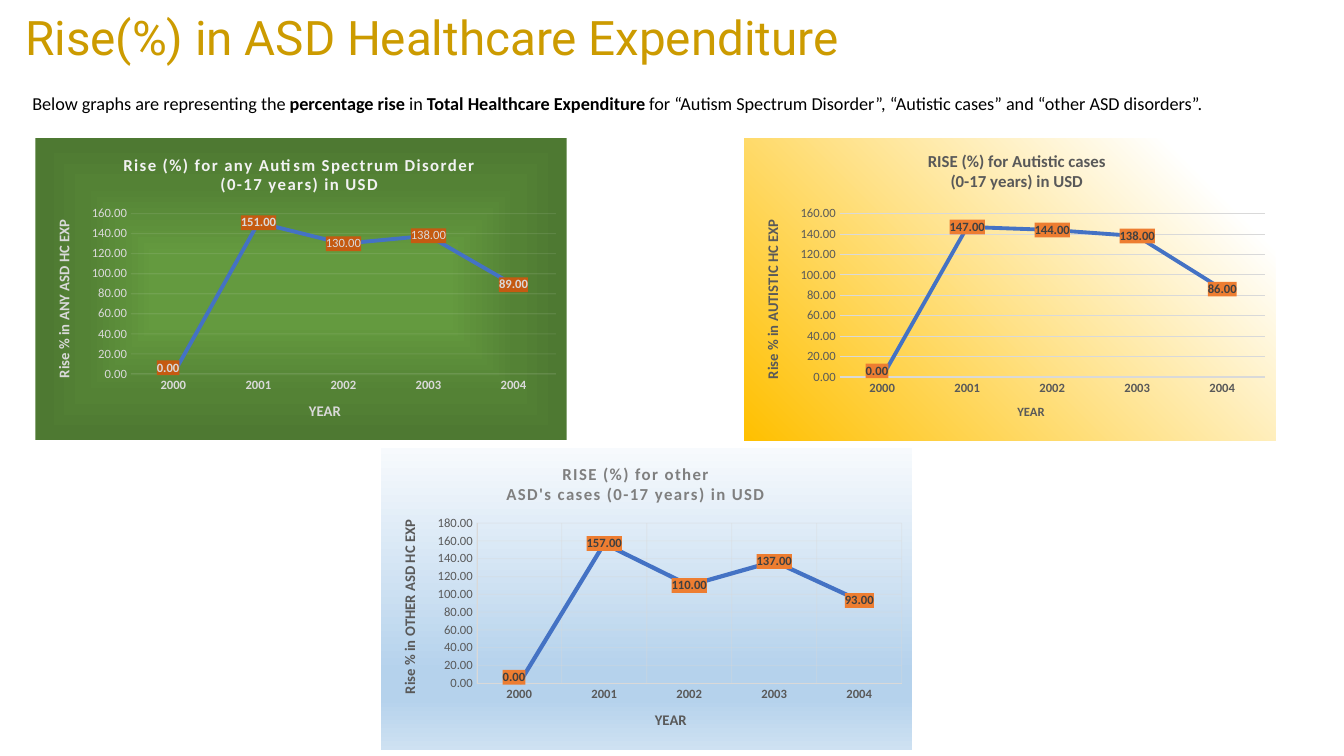
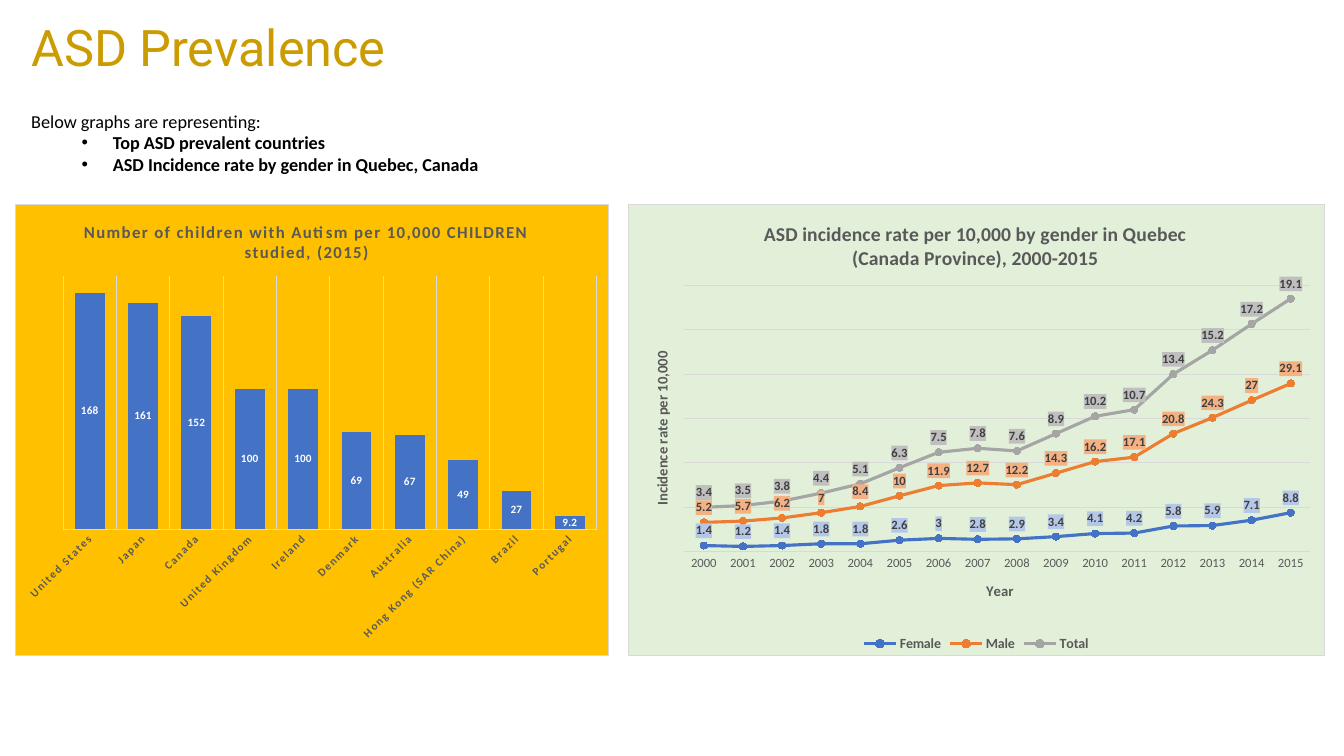
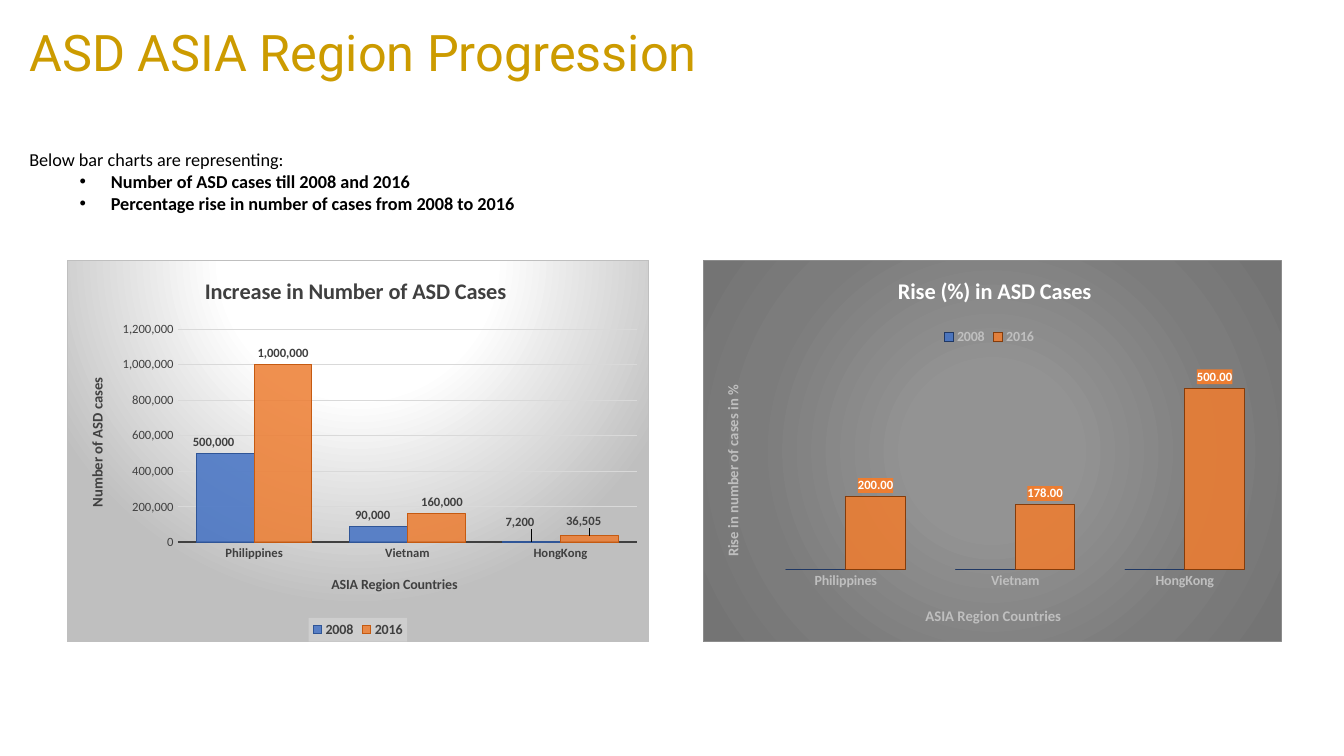
from copy import deepcopy

from pptx import Presentation
from pptx.chart.data import CategoryChartData
from pptx.dml.color import RGBColor
from pptx.enum.chart import (XL_CHART_TYPE, XL_LABEL_POSITION, XL_LEGEND_POSITION,
                             XL_MARKER_STYLE, XL_TICK_MARK)
from pptx.enum.text import MSO_ANCHOR, MSO_AUTO_SIZE, PP_ALIGN
from pptx.oxml import parse_xml
from pptx.oxml.ns import nsdecls, qn
from pptx.util import Inches, Pt

LINE, LINE_MARKERS = XL_CHART_TYPE.LINE_STACKED, XL_CHART_TYPE.LINE_MARKERS_STACKED
STACKED, CLUSTERED = XL_CHART_TYPE.COLUMN_STACKED, XL_CHART_TYPE.COLUMN_CLUSTERED
CENTER, ABOVE = XL_LABEL_POSITION.CENTER, XL_LABEL_POSITION.ABOVE
OUTSIDE = XL_LABEL_POSITION.OUTSIDE_END
BOTTOM, TOP = XL_LEGEND_POSITION.BOTTOM, XL_LEGEND_POSITION.TOP
NO_TICK = XL_TICK_MARK.NONE
CIRCLE = XL_MARKER_STYLE.CIRCLE

FONT, TITLE_FONT = "Calibri", "Roboto"
C = {
    "title": "CC9B00", "black": "000000", "white": "FFFFFF", "pale": "F2F2F2",
    "light": "D9D9D9", "silver": "BFBFBF", "grey": "7F7F7F", "dim": "595959",
    "dark": "404040", "blue": "4472C4", "orange": "ED7D31", "steel": "A5A5A5",
    "rust": "C55A11", "brown": "843C0B", "navy": "203864", "deep": "2F5597",
    "gold": "FFC000", "mint": "E2F0D9", "sky": "B4C7E7", "peach": "F4B183",
    "frame": "8C8C8C",
}
LINEAR = '<a:lin ang="{}" scaled="0"/>'
PATH = '<a:path path="{}"><a:fillToRect l="50000" t="{}" r="50000" b="{}"/></a:path>'


def rgb(name):
    return RGBColor.from_string(C[name])


def paint(fill, color, alpha=None):
    """Solid fill with an optional opacity in percent."""
    fill.solid()
    fill.fore_color.rgb = rgb(color)
    if alpha:
        clr = fill._xPr.find(".//" + qn("a:srgbClr"))
        clr.append(parse_xml(f'<a:alpha {nsdecls("a")} val="{alpha * 1000}"/>'))


def stroke(line, color, width, alpha=None):
    paint(line.fill, color, alpha)
    line.width = Pt(width)


def style(font, size, color, bold=False, name=FONT, spacing=None):
    font.name, font.size, font.bold = name, Pt(size), bold
    font.color.rgb = rgb(color)
    if spacing:
        font._rPr.set("spc", str(spacing))


def add_run(p, text, **fmt):
    r = p.add_run()
    r.text = text
    style(r.font, **fmt)


def solid_xml(color, alpha=100):
    return (f'<a:solidFill><a:srgbClr val="{C[color]}"><a:alpha val="{alpha * 1000}"/>'
            '</a:srgbClr></a:solidFill>')


def gradient_xml(stops, shade):
    gs = "".join(f'<a:gs pos="{pos * 1000}"><a:srgbClr val="{c}"/></a:gs>' for pos, c in stops)
    return f'<a:gradFill rotWithShape="1"><a:gsLst>{gs}</a:gsLst>{shade}</a:gradFill>'


def sp_pr(fill, border=None):
    ln = "<a:ln><a:noFill/></a:ln>"
    if border:
        ln = f'<a:ln w="{int(border[1] * 12700)}">{solid_xml(border[0])}</a:ln>'
    return parse_xml(f'<c:spPr {nsdecls("c", "a")}>{fill}{ln}</c:spPr>')


def layout_xml(x, y, w=None, h=None, edge=True):
    """Manual layout in fractions of the chart; a point label takes offsets."""
    target = '<c:layoutTarget val="inner"/>' if w else ""
    mode = '<c:xMode val="edge"/><c:yMode val="edge"/>' if edge else ""
    size = f'<c:w val="{w}"/><c:h val="{h}"/>' if w else ""
    return parse_xml(f'<c:layout {nsdecls("c")}><c:manualLayout>{target}{mode}'
                     f'<c:x val="{x}"/><c:y val="{y}"/>{size}</c:manualLayout></c:layout>')


def place(el, at, after=None):
    """Put a manual layout first in el, or after the named child."""
    for old in el.findall(qn("c:layout")):
        el.remove(old)
    if after:
        el.find(qn(after)).addnext(layout_xml(*at))
    else:
        el.insert(0, layout_xml(*at))


class Deck:
    def __init__(self):
        self.prs = Presentation()
        self.prs.slide_width, self.prs.slide_height = Inches(13.33), Inches(7.5)
        self.s = None

    def frame(self, sp, at):
        sp.left, sp.top, sp.width, sp.height = (Inches(v) for v in at)
        tf = sp.text_frame
        tf.word_wrap, tf.auto_size = True, MSO_AUTO_SIZE.NONE
        return tf

    def slide(self, title, at, size=36):
        self.s = self.prs.slides.add_slide(self.prs.slide_layouts[1])
        tf = self.frame(self.s.shapes.title, at)
        tf.vertical_anchor = MSO_ANCHOR.BOTTOM
        p = tf.paragraphs[0]
        p.alignment, p.line_spacing = PP_ALIGN.LEFT, 0.9
        add_run(p, title, size=size, color="title", name=TITLE_FONT)

    def body(self, at, intro, bullets=()):
        """intro is a list of (text, bold) runs; bullets follow it in bold."""
        tf = self.frame(self.s.placeholders[1], at)
        for i, runs in enumerate([intro] + [[(b, True)] for b in bullets]):
            p = tf.paragraphs[0] if i == 0 else tf.add_paragraph()
            p.space_before = Pt(0)
            pPr = p._p.get_or_add_pPr()
            pPr.set("marL", str(Inches(0.81) if i else 0))
            pPr.set("indent", str(Inches(-0.31) if i else 0))
            bullet = '<a:buChar {} char="•"/>' if i else "<a:buNone {}/>"
            pPr.append(parse_xml(bullet.format(nsdecls("a"))))
            for text, bold in runs:
                add_run(p, text, size=13, color="black", bold=bold)

    def chart(self, kind, at, cats, series, plot, fill, title, cat, val,
              border=None, gap=None, overlap=0, legend=None):
        data = CategoryChartData()
        data.categories = cats
        for item in series:
            data.add_series(item["name"], item["vals"])
        chart = self.s.shapes.add_chart(kind, *(Inches(v) for v in at), data).chart
        chart.element.find(qn("c:chart")).addnext(sp_pr(fill, border))
        style(chart.font, 10, "black")
        place(chart.element.find(".//" + qn("c:plotArea")), plot)
        self.heading(chart, **title)
        self.axis(chart.category_axis, **cat)
        self.axis(chart.value_axis, **val)
        bars = chart.plots[0]
        bars.vary_by_categories = False
        if gap:
            bars.gap_width, bars.overlap = gap, overlap
        for ser, item in zip(bars.series, series):
            self.series(ser, item, bool(gap), kind == LINE_MARKERS)
        chart.has_legend = bool(legend)
        if legend:
            self.legend(chart.legend, **legend)

    def heading(self, owner, text, at, color, size=10.5, spacing=None, upright=False):
        """Title of a chart or an axis."""
        owner.has_title = True
        title = owner.chart_title if hasattr(owner, "chart_title") else owner.axis_title
        tf = title.text_frame
        for i, line in enumerate(text.split("\n")):
            p = tf.paragraphs[0] if i == 0 else tf.add_paragraph()
            add_run(p, line, size=size, color=color, bold=True, spacing=spacing)
        if upright:
            body_pr = title._element.find(".//" + qn("a:bodyPr"))
            body_pr.set("rot", "-5400000")
            body_pr.set("vert", "horz")
        place(title._element, at, after="c:tx")

    def axis(self, axis, title=None, font=None, line=None, grid=None, fmt=None,
             top=None, step=None, hide=False, slant=False):
        axis.major_tick_mark = axis.minor_tick_mark = NO_TICK
        if font:
            style(axis.tick_labels.font, **font)
        if slant:
            axis._element.find(qn("c:txPr")).find(qn("a:bodyPr")).set("rot", "-2700000")
        if fmt:
            axis.tick_labels.number_format = fmt
            axis.tick_labels.number_format_is_linked = False
        if line:
            stroke(axis.format.line, *line)
        else:
            axis.format.line.fill.background()
        axis.has_major_gridlines = bool(grid)
        if grid:
            stroke(axis.major_gridlines.format.line, *grid)
        if top:
            axis.minimum_scale, axis.maximum_scale, axis.major_unit = 0, top, step
        if title:
            self.heading(axis, **title)
        axis.visible = not hide

    def series(self, ser, item, is_bar, marked):
        if is_bar:
            paint(ser.format.fill, item["color"], item.get("alpha"))
        else:
            ser.smooth = False
        if "line" in item:
            stroke(ser.format.line, *item["line"])
        if marked:
            ser.marker.style, ser.marker.size = CIRCLE, 5
            paint(ser.marker.format.fill, item["color"])
            stroke(ser.marker.format.line, item["color"], 0.75)
        if "labels" in item:
            self.labels(ser.data_labels, **item["labels"])

    def labels(self, dl, color, pos, fmt="General", size=9, fill=None, nudge=None, plain=()):
        """nudge maps a point to its label offset; plain lists points not in bold."""
        style(dl.font, size, color, bold=True)
        dl.show_value, dl.position = True, pos
        dl.number_format, dl.number_format_is_linked = fmt, False
        el = dl._element
        if fill:
            el.find(qn("c:txPr")).addprevious(sp_pr(solid_xml(fill)))
        shared = list(el)
        offsets = {i: (0, 0) for i in plain} | (nudge or {})
        for n, i in enumerate(sorted(offsets)):
            point = parse_xml(f'<c:dLbl {nsdecls("c")}><c:idx val="{i}"/></c:dLbl>')
            if any(offsets[i]):
                point.append(layout_xml(*offsets[i], edge=False))
            for part in shared:
                if part.tag not in (qn("c:showLeaderLines"), qn("c:leaderLines")):
                    point.append(deepcopy(part))
            if i in plain:
                point.find(".//" + qn("a:defRPr")).set("b", "0")
            el.insert(n, point)

    def legend(self, legend, position, color, at=None, fill=None):
        legend.position, legend.include_in_layout = position, False
        style(legend.font, 10, color, bold=True)
        el = legend._element
        if at:
            place(el, at, after="c:legendPos")
        if fill:
            el.find(qn("c:txPr")).addprevious(sp_pr(solid_xml(*fill)))


def rise_slide(deck):
    deck.slide("Rise(%) in ASD Healthcare Expenditure", (0.15, 0.03, 8.9, 0.67), size=34)
    deck.body((0.22, 0.87, 12.54, 0.32), [
        ("Below graphs are representing the ", False), ("percentage rise", True),
        (" in ", False), ("Total Healthcare Expenditure ", True),
        ("for “Autism Spectrum Disorder”, “Autistic cases” and “other ASD disorders”.", False)])
    green = gradient_xml([(0, "649A3F"), (23, "649A3F"), (69, "548235"), (97, "4E7932")],
                         PATH.format("shape", 50000, 50000))
    amber = gradient_xml([(0, "FFFFFF"), (13, "FFFFFF"), (100, "FFC000")],
                         LINEAR.format(135 * 60000))
    ice = gradient_xml([(0, "F7FAFD"), (74, "B5D2EC"), (83, "B5D2EC"), (100, "CEE1F2")],
                       LINEAR.format(90 * 60000))
    faint, thin = ("light", 0.75, 32), ("light", 0.25)
    panels = [
        dict(at=(0.35, 1.37), vals=[0, 151, 130, 138, 89], fill=green, ink="light", top=160,
             plot=(0.18, 0.25, 0.8, 0.53), who="ANY ASD", who_at=(0.03, 0.26),
             title=dict(text="Rise (%) for any Autism Spectrum Disorder\n(0-17 years) in USD",
                        at=(0.16, 0.04), color="pale", spacing=100),
             line=("pale", 0.75, 10), grid=("pale", 0.75, 10),
             labels=dict(color="light", fill="rust", plain=(2, 3))),
        dict(at=(7.38, 1.37), vals=[0, 147, 144, 138, 86], fill=amber, ink="dim", top=160,
             plot=(0.18, 0.25, 0.8, 0.54), who="AUTISTIC", who_at=(0.03, 0.26),
             title=dict(text="RISE (%) for Autistic cases\n(0-17 years) in USD",
                        at=(0.34, 0.03), color="dim"),
             line=("light", 1), grid=("light", 0.75), year_size=9, year_y=0.87,
             labels=dict(color="dark", fill="orange")),
        dict(at=(3.78, 4.44), vals=[0, 157, 110, 137, 93], fill=ice, ink="dim", top=180,
             plot=(0.18, 0.25, 0.8, 0.53), who="OTHER ASD", who_at=(0.03, 0.23),
             title=dict(text="RISE (%) for other\nASD's cases (0-17 years) in USD",
                        at=(0.23, 0.04), color="grey", spacing=100),
             line=thin, val_line=thin, grid=faint, cat_grid=faint, width=3,
             labels=dict(color="dark", fill="orange")),
    ]
    for d in panels:
        ink = d["ink"]
        labels = dict(d["labels"], pos=CENTER, fmt="0.00", nudge={0: (-0.01, -0.02)})
        deck.chart(
            LINE, d["at"] + (5.27, 3), ["2000", "2001", "2002", "2003", "2004"],
            [dict(name="Series 1", vals=d["vals"], color="blue",
                  line=("blue", d.get("width", 2.75)), labels=labels)],
            d["plot"], d["fill"], dict(d["title"], size=12),
            cat=dict(font=dict(size=9, color=ink, bold=True), line=d["line"],
                     grid=d.get("cat_grid"),
                     title=dict(text="YEAR", at=(0.51, d.get("year_y", 0.86)), color=ink,
                                size=d.get("year_size", 10.5))),
            val=dict(font=dict(size=9, color=ink), line=d.get("val_line"), grid=d["grid"],
                     fmt="#,##0.00", top=d["top"], step=20,
                     title=dict(text=f"Rise % in {d['who']} HC EXP", at=d["who_at"],
                                color=ink, upright=True)))


def prevalence_slide(deck):
    deck.slide("ASD Prevalence", (0.21, 0.07, 8.9, 0.75))
    deck.body((0.21, 1.04, 12.54, 0.76), [("Below graphs are representing:", False)],
              ["Top ASD prevalent countries", "ASD Incidence rate by gender in Quebec, Canada"])
    border, grid = ("light", 0.75), ("light", 0.75)
    deck.chart(
        STACKED, (0.15, 2.02, 5.89, 4.49),
        ["United States", "Japan", "Canada", "United Kingdom", "Ireland", "Denmark",
         "Australia", "Hong Kong (SAR China)", "Brazil", "Portugal"],
        [dict(name="Series 1", vals=[168, 161, 152, 100, 100, 69, 67, 49, 27, 9.2],
              color="blue", labels=dict(color="white", pos=CENTER, size=8))],
        (0.08, 0.16, 0.9, 0.56), solid_xml("gold"),
        dict(text="Number of children with Autism per 10,000 CHILDREN studied, (2015)",
             at=(0.11, 0.03), color="dim", size=12, spacing=100),
        cat=dict(font=dict(size=8, color="dim", bold=True, spacing=100),
                 line=("light", 1), grid=grid, slant=True),
        val=dict(hide=True, top=180, step=20), border=border, gap=79, overlap=100)
    genders = [
        ("Female", "blue", "sky",
         [1.4, 1.2, 1.4, 1.8, 1.8, 2.6, 3, 2.8, 2.9, 3.4, 4.1, 4.2, 5.8, 5.9, 7.1, 8.8]),
        ("Male", "orange", "peach",
         [5.2, 5.7, 6.2, 7, 8.4, 10, 11.9, 12.7, 12.2, 14.3, 16.2, 17.1, 20.8, 24.3, 27, 29.1]),
        ("Total", "steel", "silver",
         [3.4, 3.5, 3.8, 4.4, 5.1, 6.3, 7.5, 7.8, 7.6, 8.9, 10.2, 10.7, 13.4, 15.2, 17.2, 19.1]),
    ]
    deck.chart(
        LINE_MARKERS, (6.23, 2.02, 6.91, 4.49), [str(y) for y in range(2000, 2016)],
        [dict(name=name, vals=vals, color=color, line=(color, 2.25),
              labels=dict(color="dark", pos=ABOVE, fill=tint))
         for name, color, tint, vals in genders],
        (0.08, 0.18, 0.9, 0.59), solid_xml("mint"),
        dict(text="ASD incidence rate per 10,000 by gender in Quebec\n"
                  "(Canada Province), 2000-2015", at=(0.19, 0.03), color="dim", size=14),
        cat=dict(font=dict(size=9, color="dim"), line=("light", 0.75),
                 title=dict(text="Year", at=(0.51, 0.83), color="dim")),
        val=dict(hide=True, grid=grid, top=60, step=10,
                 title=dict(text="Incidence rate per 10,000", at=(0.03, 0.32), color="dim",
                            upright=True)),
        border=border, legend=dict(position=BOTTOM, color="dim"))


def asia_slide(deck):
    deck.slide("ASD ASIA Region Progression", (0.19, 0.12, 8.9, 0.75))
    deck.body((0.19, 1.42, 12.54, 0.76), [("Below bar charts are representing:", False)],
              ["Number of ASD cases till 2008 and 2016",
               "Percentage rise in number of cases from 2008 to 2016"])
    countries = ["Philippines", "Vietnam", "HongKong"]
    region = "ASIA Region Countries"
    counts = dict(color="dark", pos=OUTSIDE, fmt="#,##0")
    deck.chart(
        CLUSTERED, (0.66, 2.58, 5.78, 3.79), countries,
        [dict(name="2008", vals=[500000, 90000, 7200], color="blue", alpha=85,
              line=("deep", 0.75),
              labels=dict(counts, nudge={0: (-0.02, 0), 1: (-0.01, 0), 2: (-0.02, -0.02)})),
         dict(name="2016", vals=[1000000, 160000, 36505], color="orange", alpha=85,
              line=("rust", 0.75),
              labels=dict(counts, nudge={1: (0.01, 0), 2: (-0.01, -0.01)}))],
        (0.19, 0.18, 0.79, 0.56),
        gradient_xml([(0, "FFFFFF"), (39, "FFFFFF"), (100, "BFBFBF")],
                     PATH.format("circle", -80000, 180000)),
        dict(text="Increase in Number of ASD Cases", at=(0.23, 0.03), color="dark", size=16),
        cat=dict(font=dict(size=9, color="dark", bold=True), line=("dark", 1.5),
                 title=dict(text=region, at=(0.45, 0.82), color="dark", size=10)),
        val=dict(font=dict(size=9, color="dark"), grid=("light", 0.75), fmt="#,##0",
                 top=1200000, step=200000,
                 title=dict(text="Number of ASD cases", at=(0.03, 0.3), color="dark",
                            upright=True)),
        border=("silver", 0.75), gap=65,
        legend=dict(position=BOTTOM, color="dark", fill=("light", 60)))
    deck.chart(
        CLUSTERED, (6.97, 2.58, 5.74, 3.79), countries,
        [dict(name="2008", vals=[0, 0, 0], color="blue", alpha=88, line=("navy", 0.75)),
         dict(name="2016", vals=[200, 178, 500], color="orange", alpha=88,
              line=("brown", 0.75),
              labels=dict(color="white", pos=OUTSIDE, fmt="#,##0.00", fill="orange"))],
        (0.1, 0.24, 0.88, 0.57),
        gradient_xml([(0, "939393"), (23, "939393"), (69, "7C7C7C"), (97, "747474")],
                     PATH.format("circle", 50000, 50000)),
        dict(text="Rise (%) in ASD Cases", at=(0.33, 0.03), color="white", size=16),
        cat=dict(font=dict(size=10, color="silver", bold=True),
                 title=dict(text=region, at=(0.38, 0.9), color="silver")),
        val=dict(hide=True, fmt="#,##0.00", top=600, step=100,
                 title=dict(text="Rise in number of cases in %", at=(0.03, 0.32),
                            color="silver", upright=True)),
        border=("frame", 0.5), gap=84,
        legend=dict(position=TOP, color="silver", at=(0.41, 0.17)))


def main():
    deck = Deck()
    rise_slide(deck)
    prevalence_slide(deck)
    asia_slide(deck)
    deck.prs.save("out.pptx")


if __name__ == "__main__":
    main()
